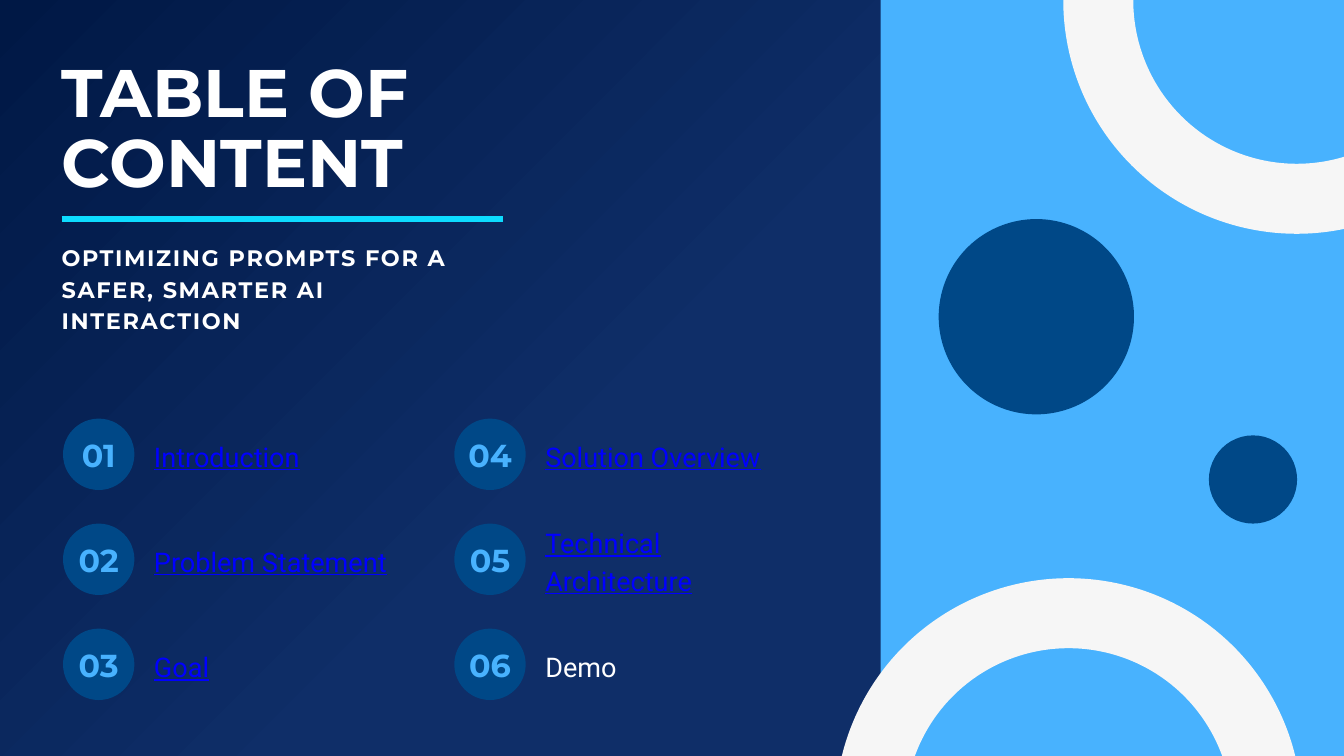
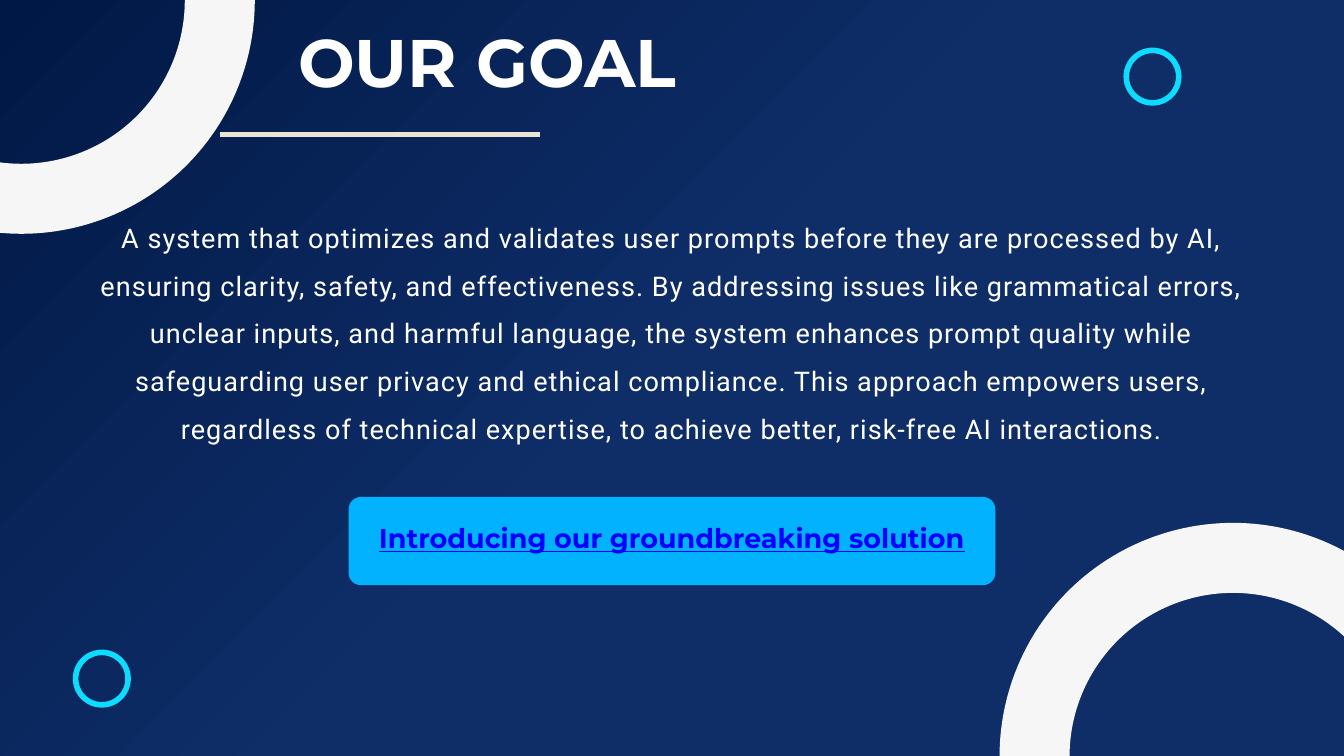
from copy import deepcopy
from dataclasses import dataclass, replace
from typing import Any, NamedTuple

from pptx import Presentation
from pptx.dml.color import RGBColor
from pptx.enum.shapes import MSO_CONNECTOR, MSO_SHAPE
from pptx.enum.text import MSO_ANCHOR, MSO_AUTO_SIZE, PP_ALIGN
from pptx.oxml.ns import qn
from pptx.oxml.xmlchemy import OxmlElement
from pptx.util import Pt

OVAL, RECTANGLE, ROUNDED = MSO_SHAPE.OVAL, MSO_SHAPE.RECTANGLE, MSO_SHAPE.ROUNDED_RECTANGLE
STRAIGHT = MSO_CONNECTOR.STRAIGHT
TOP, MIDDLE = MSO_ANCHOR.TOP, MSO_ANCHOR.MIDDLE
LEFT, CENTER = PP_ALIGN.LEFT, PP_ALIGN.CENTER
NO_AUTOFIT = MSO_AUTO_SIZE.NONE

PX = 9525
SLIDE_WIDTH, SLIDE_HEIGHT = 1920, 1080
TITLE_ONLY = 5

COLORS = {
    "night": "001845",
    "navy": "0F2E68",
    "sky": "48B2FE",
    "ocean": "004887",
    "cyan": "0DDCFF",
    "button": "02B2FF",
    "sand": "EAE4D2",
    "ring": "F6F6F6",
    "white": "FFFFFF",
    "link": "0000FF",
}


class Box(NamedTuple):
    left: int
    top: int
    width: int
    height: int


@dataclass(frozen=True)
class TextStyle:
    font: str
    size: int
    leading: float
    color: str = "white"
    bold: bool = False
    underline: bool = False
    tracking: int = 0
    align: Any = LEFT
    anchor: Any = TOP


@dataclass(frozen=True)
class Circle:
    left: int
    top: int
    diameter: int
    color: str
    stroke: int = 0


@dataclass(frozen=True)
class Rule:
    left: int
    right: int
    y: int
    color: str


TITLE = TextStyle("Montserrat", 72, 75.6, bold=True)
SUBTITLE = TextStyle("Montserrat", 24, 33.6, bold=True, tracking=180)
NUMBER = TextStyle("Montserrat", 34, 47.6, "sky", bold=True, align=CENTER, anchor=MIDDLE)
TOPIC = TextStyle("Roboto", 29, 40.6, anchor=MIDDLE)
LINKED_TOPIC = replace(TOPIC, color="link", underline=True)
GOAL_TEXT = TextStyle("Roboto", 29, 51, tracking=110, align=CENTER)
BUTTON_TEXT = TextStyle("Montserrat", 29, 40.6, "link", True, True, align=CENTER, anchor=MIDDLE)

RING_SIZE, RING_STROKE = 567, 100
HOOP_SIZE, THIN_STROKE = 75, 8
BADGE_SIZE = 102
BADGE_LEFT, BADGE_TOP = 90, 598
COLUMN_STEP, ROW_STEP, ROWS = 559, 150, 3

TOPICS = [
    ("Introduction", LINKED_TOPIC),
    ("Problem Statement", LINKED_TOPIC),
    ("Goal", LINKED_TOPIC),
    ("Solution Overview", LINKED_TOPIC),
    ("Technical Architecture", LINKED_TOPIC),
    ("Demo", TOPIC),
]

GOAL = (
    "A system that optimizes and validates user prompts before they are processed by AI, "
    "ensuring clarity, safety, and effectiveness. By addressing issues like grammatical errors, "
    "unclear inputs, and harmful language, the system enhances prompt quality while "
    "safeguarding user privacy and ethical compliance. This approach empowers users, "
    "regardless of technical expertise, to achieve better, risk-free AI interactions."
)


def rgb(name: str) -> RGBColor:
    return RGBColor.from_string(COLORS[name])


def emu(box: Box) -> list[int]:
    return [length * PX for length in box]


def set_values(target: Any, values: dict[str, Any]) -> None:
    for name, value in values.items():
        setattr(target, name, value)


def write(shape: Any, text: str, style: TextStyle, lift: int = 0) -> None:
    frame = shape.text_frame
    set_values(frame, {
        "word_wrap": True,
        "auto_size": NO_AUTOFIT,
        "vertical_anchor": style.anchor,
        "margin_left": 0,
        "margin_top": 0,
        "margin_right": 0,
        "margin_bottom": lift * PX,
    })
    paragraph = frame.paragraphs[0]
    set_values(paragraph, {"alignment": style.align, "line_spacing": Pt(style.leading)})
    run = paragraph.add_run()
    run.text = text
    set_values(run.font, {
        "name": style.font,
        "size": Pt(style.size),
        "bold": style.bold,
        "underline": style.underline,
    })
    run.font.color.rgb = rgb(style.color)
    if style.tracking:
        run._r.get_or_add_rPr().set("spc", str(style.tracking))


def add_text(slide: Any, box: Box, text: str, style: TextStyle) -> None:
    write(slide.shapes.add_textbox(*emu(box)), text, style)


def add_filled(slide: Any, kind: Any, box: Box, color: str) -> Any:
    shape = slide.shapes.add_shape(kind, *emu(box))
    shape.shadow.inherit = False
    shape.fill.solid()
    shape.fill.fore_color.rgb = rgb(color)
    shape.line.fill.background()
    return shape


def add_circle(slide: Any, circle: Circle) -> Any:
    box = Box(circle.left, circle.top, circle.diameter, circle.diameter)
    shape = add_filled(slide, OVAL, box, circle.color)
    if circle.stroke:
        shape.fill.background()
        shape.line.color.rgb = rgb(circle.color)
        shape.line.width = circle.stroke * PX
    return shape


def ring(left: int, top: int) -> Circle:
    return Circle(left, top, RING_SIZE, "ring", RING_STROKE)


def hoop(left: int, top: int) -> Circle:
    return Circle(left, top, HOOP_SIZE, "cyan", THIN_STROKE)


def add_rule(slide: Any, rule: Rule) -> None:
    ends = [length * PX for length in (rule.left, rule.y, rule.right, rule.y)]
    connector = slide.shapes.add_connector(STRAIGHT, *ends)
    connector.line.color.rgb = rgb(rule.color)
    connector.line.width = THIN_STROKE * PX
    connector._element.spPr.append(OxmlElement("a:effectLst"))


def paint_background(slide: Any) -> None:
    fill = slide.background.fill
    fill.gradient()
    fill.gradient_angle = 315
    for stop, position, color in zip(fill.gradient_stops, (0, 0.5), ("night", "navy")):
        stop.color.rgb = rgb(color)
        stop.position = position
    stops = slide.element.find(".//" + qn("a:gsLst"))
    last = deepcopy(stops[-1])
    last.set("pos", "100000")
    stops.append(last)


def start_slide(deck: Any, title: str, box: Box, rule: Rule) -> Any:
    slide = deck.slides.add_slide(deck.slide_layouts[TITLE_ONLY])
    paint_background(slide)
    heading = slide.shapes.title
    set_values(heading, dict(zip(Box._fields, emu(box))))
    write(heading, title, TITLE)
    add_rule(slide, rule)
    return slide


def add_topic(slide: Any, index: int, text: str, style: TextStyle) -> None:
    column, row = divmod(index, ROWS)
    left = BADGE_LEFT + column * COLUMN_STEP
    top = BADGE_TOP + row * ROW_STEP
    badge = add_circle(slide, Circle(left, top, BADGE_SIZE, "ocean"))
    write(badge, f"{index + 1:02}", NUMBER, lift=9)
    add_text(slide, Box(left + 130, top - 4, 379, 108), text, style)


def build_contents(deck: Any) -> None:
    slide = start_slide(deck, "TABLE OF CONTENT", Box(88, 86, 752, 204), Rule(88, 719, 313, "cyan"))
    add_filled(slide, RECTANGLE, Box(1258, 0, SLIDE_WIDTH - 1258, SLIDE_HEIGHT), "sky")
    decorations = [
        ring(1569, -283),
        Circle(1341, 313, 279, "ocean"),
        ring(1243, 876),
        Circle(1727, 622, 126, "ocean"),
    ]
    for circle in decorations:
        add_circle(slide, circle)
    subtitle = "OPTIMIZING PROMPTS FOR A SAFER, SMARTER AI INTERACTION"
    add_text(slide, Box(88, 343, 631, 130), subtitle, SUBTITLE)
    for index, (text, style) in enumerate(TOPICS):
        add_topic(slide, index, text, style)


def build_goal(deck: Any) -> None:
    slide = start_slide(deck, "OUR GOAL", Box(426, 44, 615, 104), Rule(314, 771, 192, "sand"))
    for circle in (hoop(108, 932), ring(1478, 797), hoop(1609, 72), ring(-253, -283)):
        add_circle(slide, circle)
    add_text(slide, Box(108, 295, 1704, 336), GOAL, GOAL_TEXT)
    button = add_filled(slide, ROUNDED, Box(498, 710, 924, 126), "button")
    button.adjustments[0] = 0.14
    write(button, "Introducing our groundbreaking solution", BUTTON_TEXT, lift=17)


def main() -> None:
    deck = Presentation()
    set_values(deck, {"slide_width": SLIDE_WIDTH * PX, "slide_height": SLIDE_HEIGHT * PX})
    build_contents(deck)
    build_goal(deck)
    deck.save("out.pptx")


if __name__ == "__main__":
    main()
